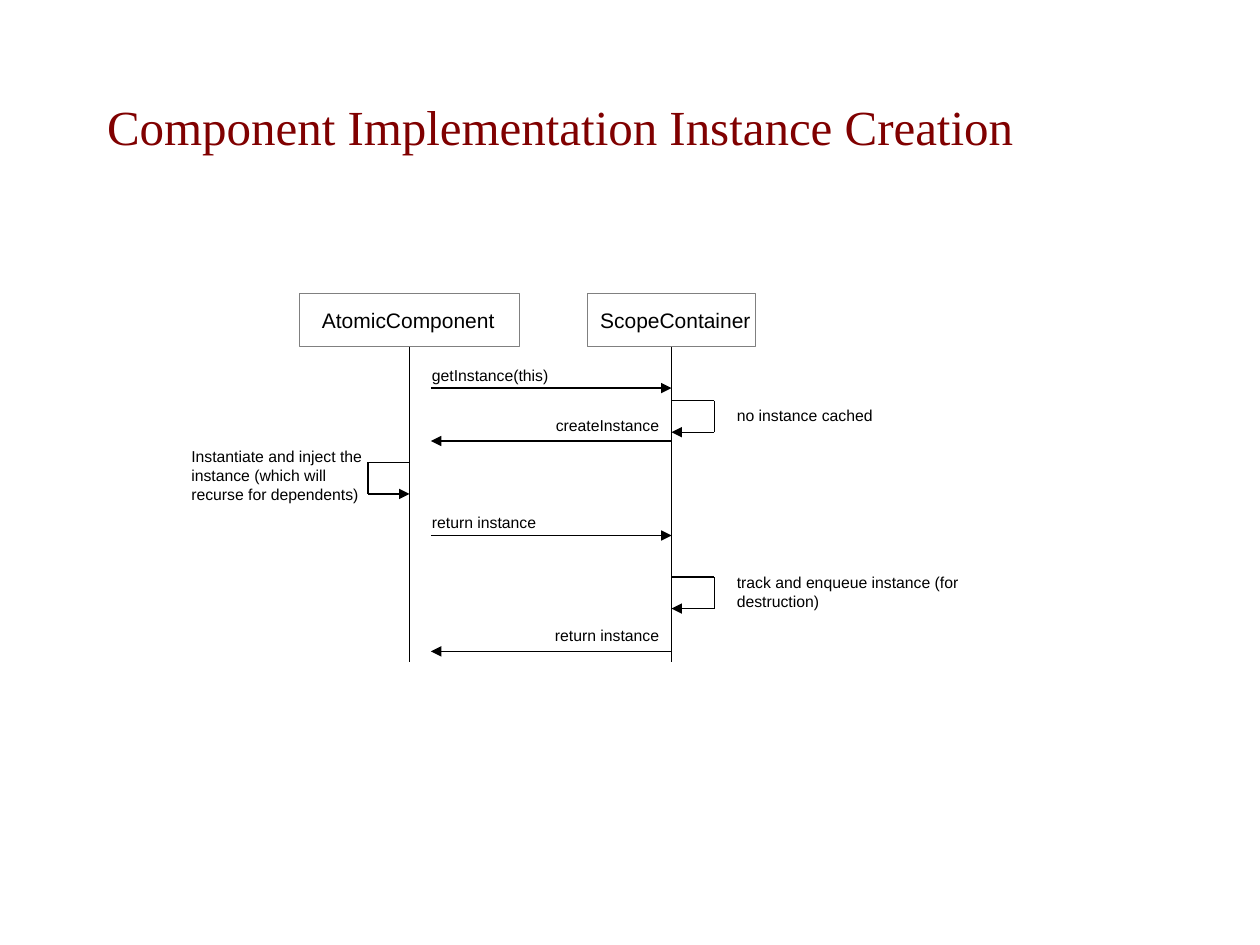
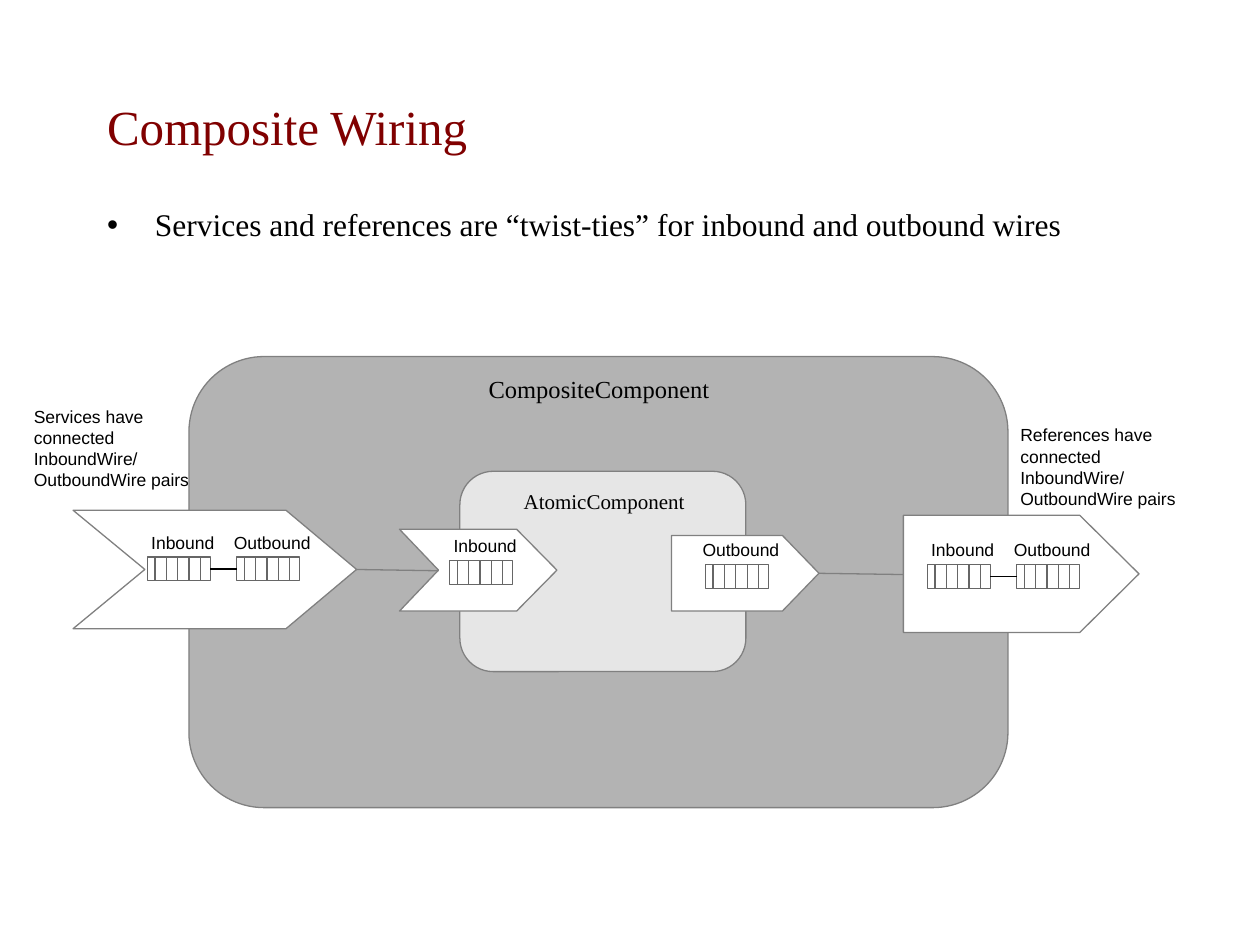
from lxml.etree import SubElement
from pptx import Presentation
from pptx.dml.color import RGBColor
from pptx.enum.shapes import MSO_CONNECTOR, MSO_SHAPE
from pptx.enum.text import MSO_ANCHOR, MSO_AUTO_SIZE, PP_ALIGN
from pptx.oxml.ns import qn
from pptx.util import Inches, Pt

BLACK, WHITE, MAROON = "000000", "FFFFFF", "800000"
OUTLINE, QUEUE_LINE = "808080", "666666"
MID_GRAY, PALE_GRAY = "B3B3B3", "E6E6E6"
SERIF, SANS = "Times New Roman", "Arial"
BOTTOM, LEFT, RIGHT = 2, 1, 3

# Sequence diagram: name, lifeline x, box width, left text inset
ATOMIC_X, SCOPE_X = 3.25, 5.33
LIFELINES = [
    ("AtomicComponent", ATOMIC_X, 1.75, 0.18),
    ("ScopeContainer", SCOPE_X, 1.33, 0.1),
]
HEAD_TOP, HEAD_HEIGHT, LIFELINE_END = 2.33, 0.42, 5.25
MESSAGE_START = 3.42
# text, y, whether it runs towards ScopeContainer
MESSAGES = [
    ("getInstance(this)", 3.08, True),
    ("createInstance", 3.5, False),
    ("return instance", 4.25, True),
    ("return instance", 5.17, False),
]
# text, lifeline x, signed loop reach, y, text left, top, width, height
SELF_CALLS = [
    ("no instance cached", SCOPE_X, 0.34, 3.18, 5.75, 3.17, 2, 0.25),
    ("Instantiate and inject the instance (which will recurse for dependents)",
     ATOMIC_X, -0.33, 3.67, 1.42, 3.5, 1.67, 0.55),
    ("track and enqueue instance (for destruction)",
     SCOPE_X, 0.34, 4.58, 5.75, 4.5, 2, 0.4),
]
LOOP_HEIGHT = 0.25

# Composite wiring: left, top, width, height, fill
CONTAINERS = [
    (1.5, 2.83, 6.5, 3.58, MID_GRAY),
    (3.65, 3.74, 2.27, 1.59, PALE_GRAY),
]
# text, left, top, width, height, size
CONTAINER_NAMES = [
    ("CompositeComponent", 3.17, 2.92, 3.17, 0.34, 14),
    ("AtomicComponent", 3.67, 3.83, 2.25, 0.3, 12),
]
# left, top, width, height, tip length, notch depth, queue top, queues
PORTS = [
    (0.58, 4.05, 2.25, 0.94, 0.56, 0.57, 4.42, [("Inbound", 1.17), ("Outbound", 1.88)]),
    (3.17, 4.2, 1.25, 0.65, 0.32, 0.31, 4.45, [("Inbound", 3.57)]),
    (5.33, 4.25, 1.17, 0.6, 0.29, 0, 4.48, [("Outbound", 5.6)]),
    (7.17, 4.09, 1.87, 0.93, 0.47, 0, 4.48, [("Inbound", 7.36), ("Outbound", 8.07)]),
]
WIRES = [((2.83, 4.52), (3.48, 4.53)), ((6.5, 4.55), (7.17, 4.56))]
WIRING_NOTES = [
    ("Services have connected InboundWire/ OutboundWire pairs", 0.17, 3.17),
    ("References have connected InboundWire/ OutboundWire pairs", 8, 3.32),
]
QUEUE_WIDTH, QUEUE_HEIGHT = 0.5, 0.19
SLOT_COUNT, FIRST_SLOT, SLOT_PITCH = 5, 0.06, 0.09
QUEUE_LABEL_WIDTH = 0.81


def color(value):
    return RGBColor.from_string(value)


def write(frame, text, *, size, font=SANS, fill=BLACK, align=PP_ALIGN.LEFT,
          anchor=MSO_ANCHOR.TOP, wrap=True):
    frame.word_wrap = wrap
    frame.auto_size = MSO_AUTO_SIZE.NONE
    frame.vertical_anchor = anchor
    paragraph = frame.paragraphs[0]
    paragraph.alignment = align
    run = paragraph.add_run()
    run.text = text
    run.font.size = Pt(size)
    run.font.name = font
    run.font.color.rgb = color(fill)
    return paragraph


def place(shape, left, top, width, height):
    shape.left, shape.top = Inches(left), Inches(top)
    shape.width, shape.height = Inches(width), Inches(height)


def add_text(slide, text, left, top, width, height, **text_format):
    box = slide.shapes.add_textbox(
        Inches(left), Inches(top), Inches(width), Inches(height))
    write(box.text_frame, text, **text_format)


def style_shape(shape, fill, line):
    shape.shadow.inherit = False
    if fill:
        shape.fill.solid()
        shape.fill.fore_color.rgb = color(fill)
    else:
        shape.fill.background()
    shape.line.color.rgb = color(line)
    shape.line.width = Pt(0.75)


def add_box(slide, left, top, width, height, fill=None, line=OUTLINE,
            kind=MSO_SHAPE.RECTANGLE):
    shape = slide.shapes.add_shape(
        kind, Inches(left), Inches(top), Inches(width), Inches(height))
    style_shape(shape, fill, line)
    return shape


def add_line(slide, start, end, line=BLACK, arrow=False):
    connector = slide.shapes.add_connector(
        MSO_CONNECTOR.STRAIGHT, *(Inches(value) for value in (*start, *end)))
    connector.line.color.rgb = color(line)
    connector.line.width = Pt(0.75)
    if arrow:
        outline = connector._element.spPr.find(qn("a:ln"))
        SubElement(outline, qn("a:tailEnd"), type="triangle")
    SubElement(connector._element.spPr, qn("a:effectLst"))
    return connector


def add_slide(presentation, layout_index, title):
    slide = presentation.slides.add_slide(presentation.slide_layouts[layout_index])
    place(slide.shapes.title, 0.75, 0.5, 8.5, 1)
    write(slide.shapes.title.text_frame, title, size=28, font=SERIF,
          fill=MAROON, anchor=MSO_ANCHOR.MIDDLE)
    return slide


def add_lifeline(slide, name, x, width, inset):
    head = add_box(slide, x - width / 2, HEAD_TOP, width, HEAD_HEIGHT)
    head.text_frame.margin_left = Inches(inset)
    head.text_frame.margin_right = 0
    write(head.text_frame, name, size=12, anchor=MSO_ANCHOR.MIDDLE)
    lifeline = add_line(slide, (x, HEAD_TOP + HEAD_HEIGHT), (x, LIFELINE_END))
    lifeline.begin_connect(head, BOTTOM)


def add_message(slide, text, y, to_scope):
    ends = [(MESSAGE_START, y), (SCOPE_X, y)]
    start, end = ends if to_scope else reversed(ends)
    add_line(slide, start, end, arrow=True)
    add_text(slide, text, 3.33, y - (0.23 if to_scope else 0.25), 2, 0.25,
             size=9, align=PP_ALIGN.LEFT if to_scope else PP_ALIGN.RIGHT)


def add_self_call(slide, text, x, reach, y, *text_area):
    corners = [(x, y), (x + reach, y),
               (x + reach, y + LOOP_HEIGHT), (x, y + LOOP_HEIGHT)]
    for index, (start, end) in enumerate(zip(corners, corners[1:])):
        add_line(slide, start, end, arrow=index == 2)
    add_text(slide, text, *text_area, size=9)


def add_port(slide, left, top, width, height, tip, notch):
    """Draw a right-pointing block, notched on the left if notch is not 0."""
    right, bottom, middle = left + width, top + height, top + height / 2
    points = [(left, top), (right - tip, top), (right, middle),
              (right - tip, bottom), (left, bottom)]
    if notch:
        points.append((left + notch, middle))
    points = [(Inches(x), Inches(y)) for x, y in points]
    builder = slide.shapes.build_freeform(*points[0], scale=1.0)
    builder.add_line_segments(points[1:], close=True)
    style_shape(builder.convert_to_shape(), WHITE, OUTLINE)


def add_queue(slide, name, left, top):
    queue = add_box(slide, left, top, QUEUE_WIDTH, QUEUE_HEIGHT, WHITE, QUEUE_LINE)
    for slot in range(SLOT_COUNT):
        x = left + FIRST_SLOT + slot * SLOT_PITCH
        add_line(slide, (x, top), (x, top + QUEUE_HEIGHT), QUEUE_LINE)
    label_left = left + (QUEUE_WIDTH - QUEUE_LABEL_WIDTH) / 2 + 0.03
    add_text(slide, name, label_left, top - 0.25, QUEUE_LABEL_WIDTH, 0.27,
             size=10, align=PP_ALIGN.CENTER, wrap=False)
    return queue


def build_sequence_slide(presentation):
    slide = add_slide(presentation, 5, "Component Implementation Instance Creation")
    for lifeline in LIFELINES:
        add_lifeline(slide, *lifeline)
    for message in MESSAGES:
        add_message(slide, *message)
    for self_call in SELF_CALLS:
        add_self_call(slide, *self_call)


def build_wiring_slide(presentation):
    slide = add_slide(presentation, 1, "Composite Wiring")
    body = slide.placeholders[1]
    place(body, 0.75, 1.58, 8.5, 4.83)
    bullet = write(
        body.text_frame,
        "Services and references are “twist-ties” for inbound and outbound wires",
        size=18, font=SERIF)
    bullet.space_before = Pt(4.5)
    properties = bullet._p.get_or_add_pPr()
    properties.set("marL", str(Inches(0.38)))
    properties.set("indent", str(Inches(-0.38)))

    for *area, fill in CONTAINERS:
        add_box(slide, *area, fill, kind=MSO_SHAPE.ROUNDED_RECTANGLE)
    for text, *area, size in CONTAINER_NAMES:
        add_text(slide, text, *area, size=size, font=SERIF, align=PP_ALIGN.CENTER)
    for *outline, queue_top, queues in PORTS:
        add_port(slide, *outline)
        drawn = [add_queue(slide, name, left, queue_top) for name, left in queues]
        for inbound, outbound in zip(drawn, drawn[1:]):
            link = add_line(slide, (0, 0), (0, 0))
            link.begin_connect(inbound, RIGHT)
            link.end_connect(outbound, LEFT)
    for start, end in WIRES:
        add_line(slide, start, end, OUTLINE)
    for text, left, top in WIRING_NOTES:
        add_text(slide, text, left, top, 1.58, 0.77, size=10)


def main():
    presentation = Presentation()
    presentation.slide_width, presentation.slide_height = Inches(10), Inches(7.5)
    build_sequence_slide(presentation)
    build_wiring_slide(presentation)
    presentation.save("out.pptx")


if __name__ == "__main__":
    main()
